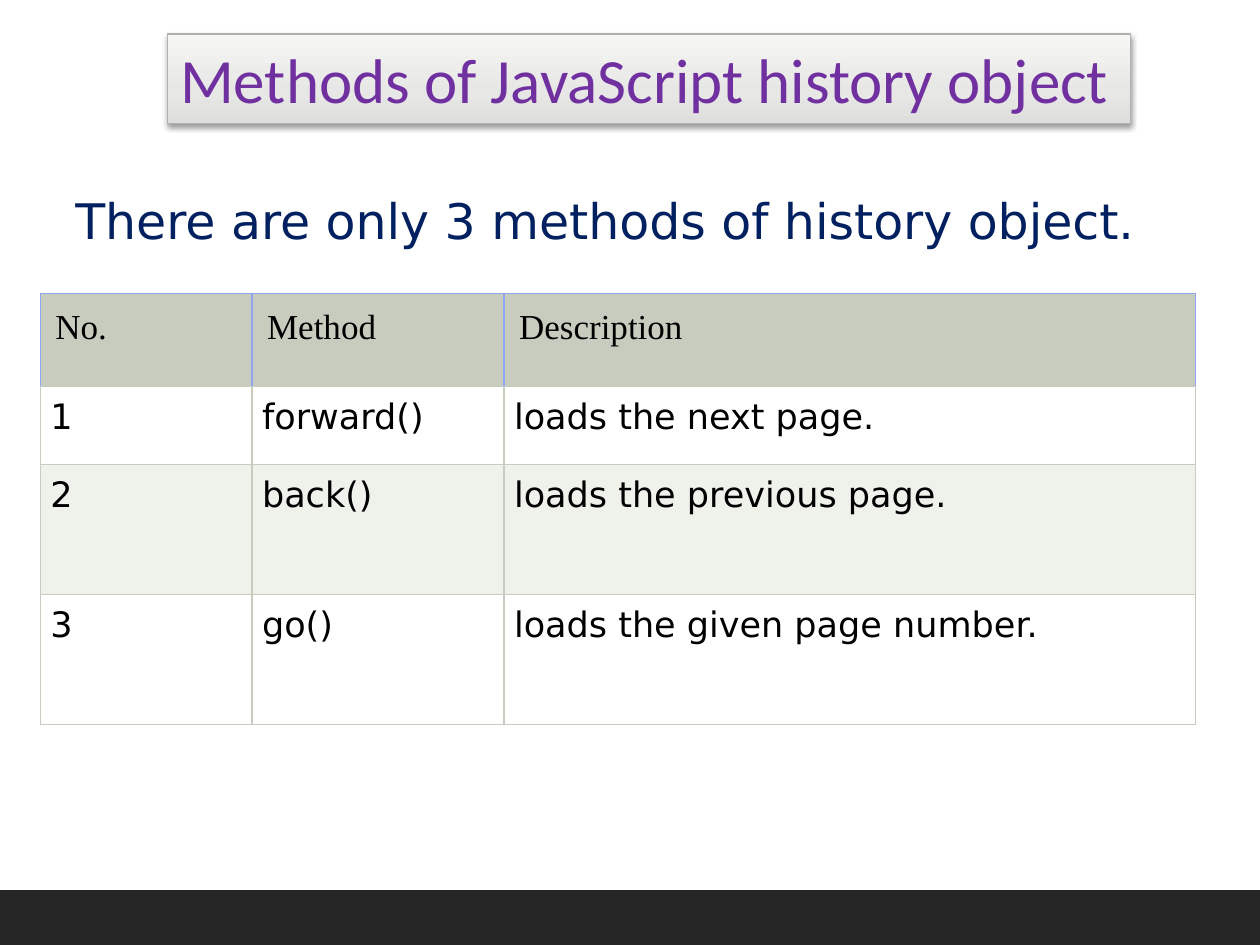
import pptx
import pptx.dml.color
import pptx.enum.shapes
import pptx.enum.text
import pptx.oxml
import pptx.oxml.ns
import pptx.util

Inches = pptx.util.Inches
Pt = pptx.util.Pt
RGBColor = pptx.dml.color.RGBColor
MSO_ANCHOR = pptx.enum.text.MSO_ANCHOR

PURPLE = RGBColor(0x70, 0x30, 0xA0)
NAVY = RGBColor(0x00, 0x20, 0x60)
BLACK = RGBColor(0x00, 0x00, 0x00)
WHITE = RGBColor(0xFF, 0xFF, 0xFF)
CHARCOAL = RGBColor(0x26, 0x26, 0x26)
TITLE_LINE = RGBColor(0xB0, 0xB0, 0xAF)
SAGE = RGBColor(0xC7, 0xCC, 0xBE)
PALE_SAGE = RGBColor(0xEF, 0xF1, 0xEB)
BLUE = RGBColor(0x90, 0xA5, 0xEF)
TITLE_STOPS = [(0, RGBColor(0xDE, 0xDE, 0xDD)),
               (35, RGBColor(0xE7, 0xE7, 0xE6)),
               (100, RGBColor(0xF6, 0xF6, 0xF5))]

NS = pptx.oxml.ns.nsdecls("a")
COL_WIDTHS = [1.68, 2, 5.49]
ROW_HEIGHTS = [0.74, 0.62, 1.03, 1.03]
ROWS = [
    ["No.", "Method", "Description"],
    ["1", "forward()", "loads the next page."],
    ["2", "back()", "loads the previous page."],
    ["3", "go()", "loads the given page number."],
]


def add_run(tf, text, font, size, color):
    p = tf.paragraphs[0]
    p.alignment = pptx.enum.text.PP_ALIGN.LEFT
    r = p.add_run()
    r.text = text
    r.font.name = font
    r.font.size = Pt(size)
    r.font.color.rgb = color


def place(sp, left, top, width, height):
    sp.left, sp.top = Inches(left), Inches(top)
    sp.width, sp.height = Inches(width), Inches(height)


def set_one_line(tf):
    tf.word_wrap = False
    tf.auto_size = pptx.enum.text.MSO_AUTO_SIZE.NONE
    tf.vertical_anchor = MSO_ANCHOR.MIDDLE


def add_title(slide, text):
    sp = slide.shapes.title
    place(sp, 1.33, 0.27, 7.64, 0.71)
    # Upward gradient, outline and soft drop shadow
    stops = "".join(
        f'<a:gs pos="{pos * 1000}"><a:srgbClr val="{color}"/></a:gs>'
        for pos, color in TITLE_STOPS)
    spPr = sp.element.spPr
    spPr.append(pptx.oxml.parse_xml(
        f'<a:prstGeom {NS} prst="rect"><a:avLst/></a:prstGeom>'))
    spPr.append(pptx.oxml.parse_xml(
        f'<a:gradFill {NS} rotWithShape="1"><a:gsLst>{stops}</a:gsLst>'
        '<a:lin ang="16200000" scaled="0"/></a:gradFill>'))
    sp.line.color.rgb = TITLE_LINE
    sp.line.width = Pt(0.75)
    spPr.append(pptx.oxml.parse_xml(
        f'<a:effectLst {NS}><a:outerShdw blurRad="{Pt(3.1)}" dist="{Pt(1.6)}" '
        'dir="5400000" rotWithShape="0"><a:srgbClr val="000000">'
        '<a:alpha val="38000"/></a:srgbClr></a:outerShdw></a:effectLst>'))
    set_one_line(sp.text_frame)
    add_run(sp.text_frame, text, "Calibri", 36, PURPLE)


def add_statement(slide, text):
    sp = slide.shapes.add_textbox(
        Inches(0.5), Inches(1.46), Inches(8.8), Inches(0.57))
    set_one_line(sp.text_frame)
    add_run(sp.text_frame, text, "DejaVu Sans", 28, NAVY)


def set_borders(cell, side_color, top_color, bottom_color):
    tcPr = cell._tc.get_or_add_tcPr()
    colors = [("lnL", side_color), ("lnR", side_color),
              ("lnT", top_color), ("lnB", bottom_color)]
    for i, (tag, color) in enumerate(colors):
        tcPr.insert(i, pptx.oxml.parse_xml(
            f'<a:{tag} {NS} w="{Pt(0.75)}"><a:solidFill>'
            f'<a:srgbClr val="{color}"/></a:solidFill></a:{tag}>'))


def format_cell(cell, text, row):
    header = row == 0
    inset = Inches(0.12 if header else 0.08)
    cell.margin_left = cell.margin_right = inset
    cell.margin_top = cell.margin_bottom = inset
    cell.vertical_anchor = MSO_ANCHOR.TOP
    cell.fill.solid()
    cell.fill.fore_color.rgb = (
        SAGE if header else WHITE if row % 2 else PALE_SAGE)
    edge = BLUE if header else SAGE
    set_borders(cell, edge, edge, SAGE)
    font = "Times New Roman" if header else "DejaVu Sans"
    add_run(cell.text_frame, text, font, 20, BLACK)


def add_methods_table(slide):
    table = slide.shapes.add_table(
        len(ROWS), len(COL_WIDTHS), Inches(0.32), Inches(2.33),
        Inches(sum(COL_WIDTHS)), Inches(sum(ROW_HEIGHTS))).table
    for col, width in zip(table.columns, COL_WIDTHS):
        col.width = Inches(width)
    for row, height in zip(table.rows, ROW_HEIGHTS):
        row.height = Inches(height)
    for i, texts in enumerate(ROWS):
        for j, text in enumerate(texts):
            format_cell(table.cell(i, j), text, i)


def add_footer_bar(slide):
    sp = slide.shapes.add_shape(
        pptx.enum.shapes.MSO_SHAPE.RECTANGLE,
        Inches(0), Inches(7.08), Inches(10), Inches(0.42))
    sp.shadow.inherit = False
    sp.fill.solid()
    sp.fill.fore_color.rgb = CHARCOAL
    sp.line.color.rgb = CHARCOAL
    sp.line.width = Pt(2)


def main():
    prs = pptx.Presentation()
    prs.slide_width, prs.slide_height = Inches(10), Inches(7.5)
    slide = prs.slides.add_slide(prs.slide_layouts[5])  # Title Only
    add_title(slide, "Methods of JavaScript history object")
    add_methods_table(slide)
    add_statement(slide, "There are only 3 methods of history object.")
    add_footer_bar(slide)
    prs.save("out.pptx")


if __name__ == "__main__":
    main()
